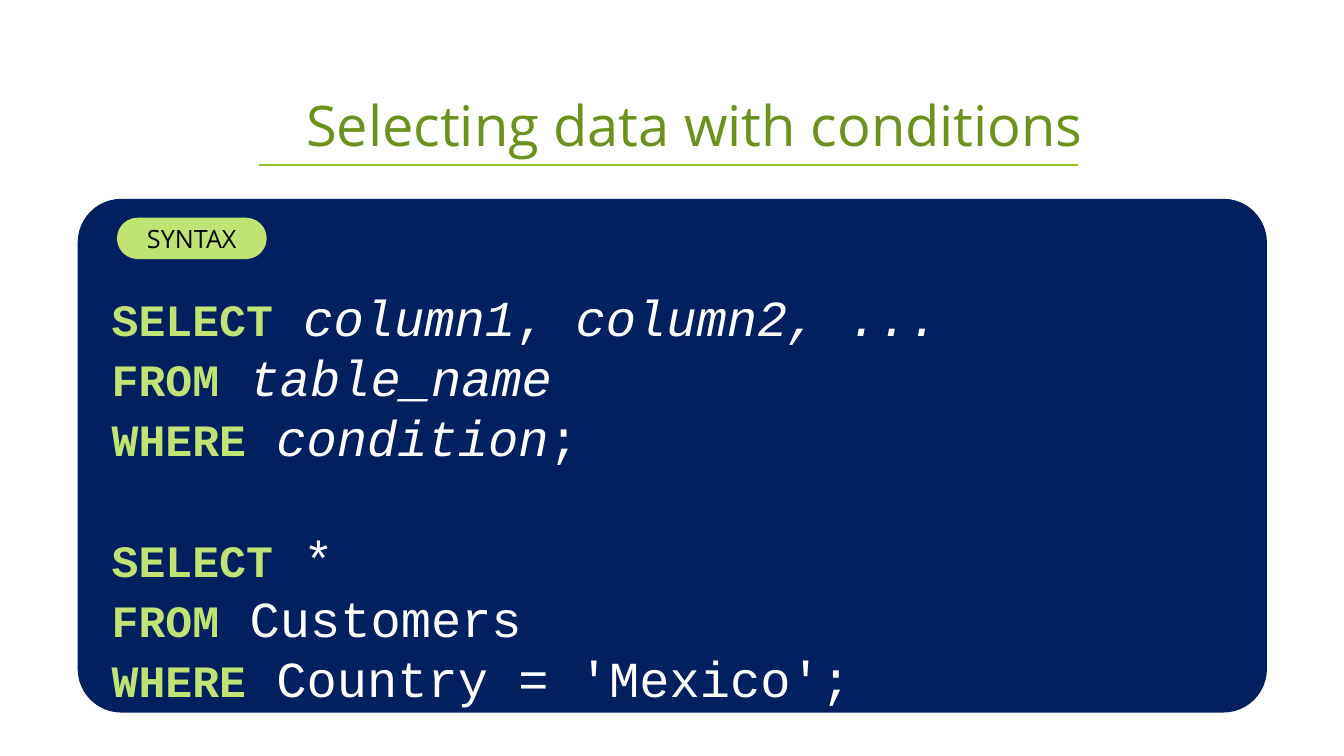
from dataclasses import dataclass

from lxml import etree
from pptx import Presentation
from pptx.dml.color import RGBColor
from pptx.enum.shapes import MSO_CONNECTOR, MSO_SHAPE
from pptx.enum.text import MSO_ANCHOR, PP_ALIGN
from pptx.oxml.ns import qn
from pptx.util import Pt

ROUNDED = MSO_SHAPE.ROUNDED_RECTANGLE
CHEVRON = MSO_SHAPE.CHEVRON
STRAIGHT = MSO_CONNECTOR.STRAIGHT
MIDDLE = MSO_ANCHOR.MIDDLE
LEFT = PP_ALIGN.LEFT
CENTER = PP_ALIGN.CENTER


@dataclass(frozen=True)
class Theme:
    panel: str = "002060"
    accent: str = "C0E474"
    title: str = "6C921D"
    rule: str = "90C226"
    code: str = "FFFFFF"
    label: str = "000000"
    text_font: str = "Open Sans"
    code_font: str = "Courier New"
    title_size: int = 40
    label_size: int = 18
    keyword_size: int = 32
    code_size: int = 36
    line_pitch: int = 43


@dataclass(frozen=True)
class Box:
    left: float
    top: float
    width: float
    height: float

    def lengths(self) -> tuple:
        return Pt(self.left), Pt(self.top), Pt(self.width), Pt(self.height)


@dataclass(frozen=True)
class Span:
    text: str
    italic: bool = False


@dataclass(frozen=True)
class CodeLine:
    keyword: str
    spans: tuple
    starts_statement: bool = False


THEME = Theme()
PANEL = Box(55.5, 142, 849.5, 367)
BADGE = Box(83.5, 155.5, 107, 29.5)
CODE = Box(72.7, 196.5, 832.3, 312.5)
TITLE = Box(182, 59.5, 671, 59)

CODE_LINES = (
    CodeLine("SELECT", (Span(" "), Span("column1", True), Span(","),
                        Span(" column2, ...", True))),
    CodeLine("FROM", (Span(" "), Span("table_name", True))),
    CodeLine("WHERE", (Span(" "), Span("condition", True), Span(";"))),
    CodeLine("SELECT", (Span(" *"),), starts_statement=True),
    CodeLine("FROM", (Span(" Customers"),)),
    CodeLine("WHERE", (Span(" Country = 'Mexico';"),)),
)


def style_font(font, name: str, size: int, color: str) -> None:
    font.name = name
    font.size = Pt(size)
    font.color.rgb = RGBColor.from_string(color)


def add_flat_shape(page, kind, box: Box, fill: str | None = None):
    """Add a preset shape without line or shadow; no fill colour leaves it clear."""
    shape = page.shapes.add_shape(kind, *box.lengths())
    shape.shadow.inherit = False
    shape.line.fill.background()
    if fill:
        shape.fill.solid()
        shape.fill.fore_color.rgb = RGBColor.from_string(fill)
    else:
        shape.fill.background()
    return shape


def set_label(shape, text: str, size: int, color: str, alignment) -> None:
    frame = shape.text_frame
    frame.text = text
    frame.vertical_anchor = MIDDLE
    para = frame.paragraphs[0]
    para.alignment = alignment
    style_font(para.runs[0].font, THEME.text_font, size, color)


def add_rule(page, left: float, right: float, top: float) -> None:
    rule = page.shapes.add_connector(STRAIGHT, Pt(left), Pt(top), Pt(right), Pt(top))
    rule.line.color.rgb = RGBColor.from_string(THEME.rule)
    rule.line.width = Pt(1)
    etree.SubElement(rule.element.spPr, qn("a:effectLst"))


def write_code_line(para, line: CodeLine) -> None:
    para.line_spacing = Pt(THEME.line_pitch)
    if line.starts_statement:
        para.space_before = Pt(THEME.line_pitch)
    keyword = para.add_run()
    keyword.text = line.keyword
    style_font(keyword.font, THEME.code_font, THEME.keyword_size, THEME.accent)
    keyword.font.bold = True
    for span in line.spans:
        run = para.add_run()
        run.text = span.text
        style_font(run.font, THEME.code_font, THEME.code_size, THEME.code)
        run.font.italic = span.italic


def add_code(page, box: Box, lines: tuple) -> None:
    frame = page.shapes.add_textbox(*box.lengths()).text_frame
    frame.word_wrap = True
    frame.margin_top = Pt(8)
    for index, line in enumerate(lines):
        para = frame.add_paragraph() if index else frame.paragraphs[0]
        write_code_line(para, line)


def main() -> None:
    deck = Presentation()
    deck.slide_width, deck.slide_height = Pt(960), Pt(540)
    page = deck.slides.add_slide(deck.slide_layouts[6])

    panel = add_flat_shape(page, ROUNDED, PANEL, THEME.panel)
    panel.adjustments[0] = 0.085
    badge = add_flat_shape(page, ROUNDED, BADGE, THEME.accent)
    badge.adjustments[0] = 0.5
    set_label(badge, "SYNTAX", THEME.label_size, THEME.label, CENTER)
    add_code(page, CODE, CODE_LINES)

    title = add_flat_shape(page, CHEVRON, TITLE)
    set_label(title, "Selecting data with conditions", THEME.title_size,
              THEME.title, LEFT)
    add_rule(page, 185, 769.7, 118)

    deck.save("out.pptx")


if __name__ == "__main__":
    main()
